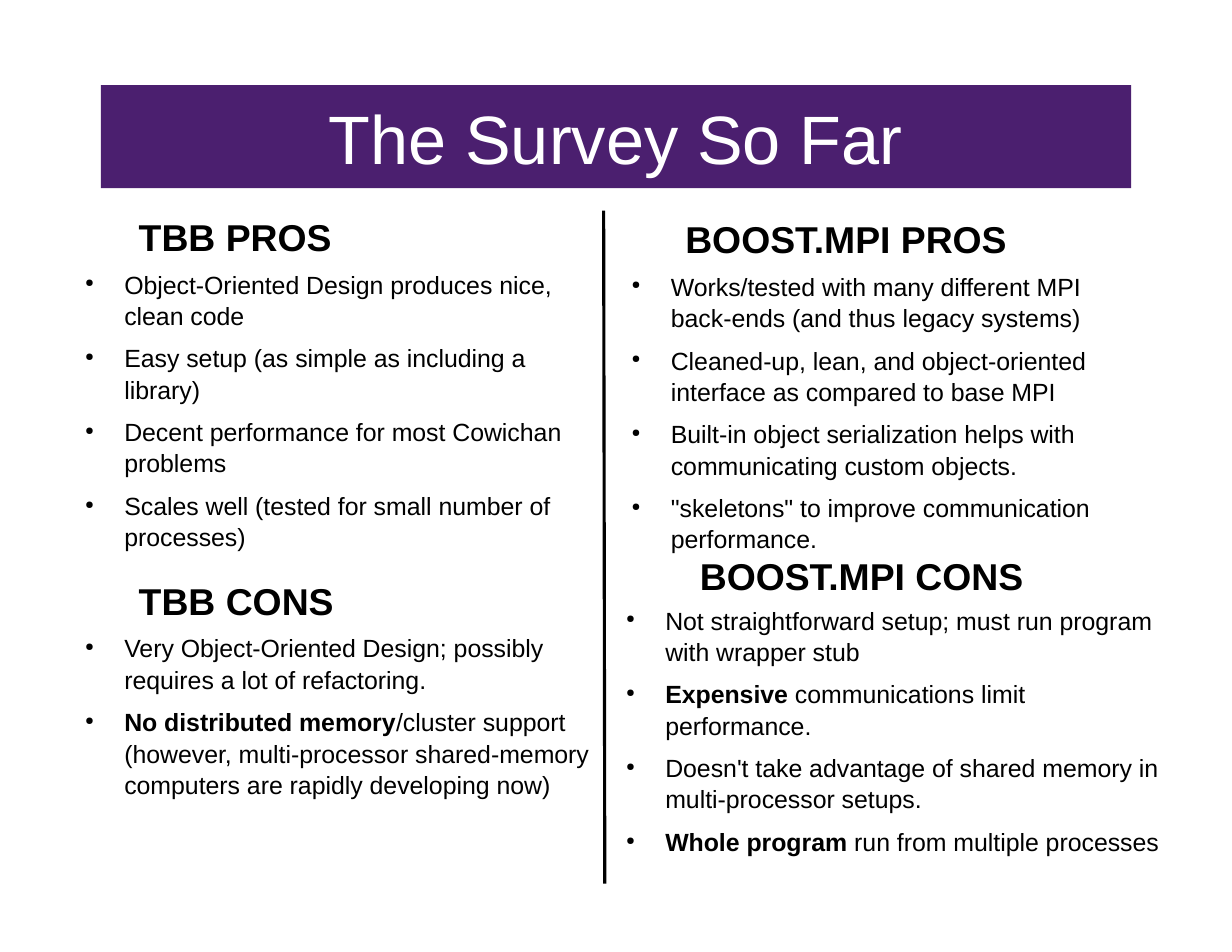
from lxml.etree import SubElement
from pptx import Presentation
from pptx.dml.color import RGBColor as Rgb
from pptx.enum.shapes import MSO_CONNECTOR as Connector, MSO_SHAPE as Shape
from pptx.enum.text import MSO_ANCHOR as Anchor, PP_ALIGN as Align
from pptx.oxml.ns import qn
from pptx.util import Inches, Pt

COLORS = {"banner": "4B1F6F", "title": "FFFFFF", "ink": "000000"}
FONT = "Arial"
COLUMNS, ROWS = 110, 85
CELL = Inches(0.1)
HEADING_ROWS = 5.3

TBB_PROS = [
    "Object-Oriented Design produces nice, clean code",
    "Easy setup (as simple as including a library)",
    "Decent performance for most Cowichan problems",
    "Scales well (tested for small number of processes)",
]
TBB_CONS = [
    "Very Object-Oriented Design; possibly requires a lot of refactoring.",
    "**No distributed memory**/cluster support (however, multi-processor "
    "shared-memory computers are rapidly developing now)",
]
MPI_PROS = [
    "Works/tested with many different MPI back-ends (and thus legacy systems)",
    "Cleaned-up, lean, and object-oriented interface as compared to base MPI",
    "Built-in object serialization helps with communicating custom objects.",
    '"skeletons" to improve communication performance.',
]
MPI_CONS = [
    "Not straightforward setup; must run program with wrapper stub",
    "**Expensive** communications limit performance.",
    "Doesn't take advantage of shared memory in multi-processor setups.",
    "**Whole program** run from multiple processes",
]


def cells(*counts):
    """Turn counts of grid cells into lengths."""
    return [round(count * CELL) for count in counts]


def write(frame, lines, size, color="ink", bold=False, align=Align.LEFT,
          anchor=Anchor.TOP, inset=(0, 0), bulleted=False):
    """Fill a text frame with lines, where ** pairs switch bold on and off."""
    frame.word_wrap = True
    frame.vertical_anchor = anchor
    frame.margin_left = frame.margin_right = Inches(inset[0])
    frame.margin_top = frame.margin_bottom = Inches(inset[1])
    for number, line in enumerate(lines):
        paragraph = frame.add_paragraph() if number else frame.paragraphs[0]
        paragraph.alignment = align
        if bulleted:
            add_bullet(paragraph)
        for part, words in enumerate(line.split("**")):
            if words:
                run = paragraph.add_run()
                run.text = words
                run.font.name = FONT
                run.font.size = Pt(size)
                run.font.bold = bold or part % 2 == 1
                run.font.color.rgb = Rgb.from_string(COLORS[color])


def add_bullet(paragraph):
    """Give a paragraph a small hanging dot and list spacing."""
    paragraph.space_after = Pt(7.2)
    paragraph.line_spacing = 1.05
    properties = paragraph._p.get_or_add_pPr()
    properties.set("marL", str(Inches(0.47)))
    properties.set("indent", str(Inches(-0.35)))
    tint = SubElement(properties, qn("a:buClr"))
    SubElement(tint, qn("a:srgbClr"), val=COLORS["ink"])
    SubElement(properties, qn("a:buSzPct"), val="45000")
    SubElement(properties, qn("a:buChar"), char="●")


def add_banner(slide, title, left, top, width, height):
    """Draw the title banner in the given box."""
    banner = slide.shapes.add_shape(
        Shape.RECTANGLE, *cells(left, top, width, height))
    banner.shadow.inherit = False
    banner.fill.solid()
    banner.fill.fore_color.rgb = Rgb.from_string(COLORS["banner"])
    banner.line.fill.background()
    write(banner.text_frame, [title], 44, color="title",
          align=Align.CENTER, anchor=Anchor.MIDDLE)


def add_divider(slide, left, top, width, height):
    """Draw the hairline between the two libraries."""
    divider = slide.shapes.add_connector(
        Connector.STRAIGHT, *cells(left, top, left + width, top + height))
    divider.line.color.rgb = Rgb.from_string(COLORS["ink"])
    divider.line.width = Pt(0)
    SubElement(divider._element.spPr, qn("a:effectLst"))


def add_section(slide, heading, points, left, top, width, height,
                indent=5, lead=HEADING_ROWS):
    """Place a heading and its bulleted points in the given box."""
    title = slide.shapes.add_textbox(
        *cells(left + indent, top, 39.9, HEADING_ROWS))
    write(title.text_frame, [heading], 24, bold=True, inset=(0.1, 0.05))
    body = slide.shapes.add_textbox(
        *cells(left, top + lead, width, height - lead))
    write(body.text_frame, points, 16, bulleted=True)


def main():
    """Build and save the slide."""
    deck = Presentation()
    deck.slide_width, deck.slide_height = cells(COLUMNS, ROWS)
    slide = deck.slides.add_slide(deck.slide_layouts[6])
    add_banner(slide, "The Survey So Far", 9, 7.6, COLUMNS - 2 * 9, 9.2)
    add_divider(slide, 53.9, 18.8, 0.1, 60.1)
    add_section(slide, "TBB PROS", TBB_PROS, 6.4, 18.6, 46.7, 32.8)
    add_section(slide, "TBB CONS", TBB_CONS, 6.4, 51.1, 46.7, 25.3)
    add_section(slide, "BOOST.MPI PROS", MPI_PROS, 55.2, 18.8, 46.7, 32.8)
    add_section(slide, "BOOST.MPI CONS", MPI_CONS, 54.7, 48.9, 49.2, 32.5,
                indent=6.8, lead=5)
    deck.save("out.pptx")


if __name__ == "__main__":
    main()
